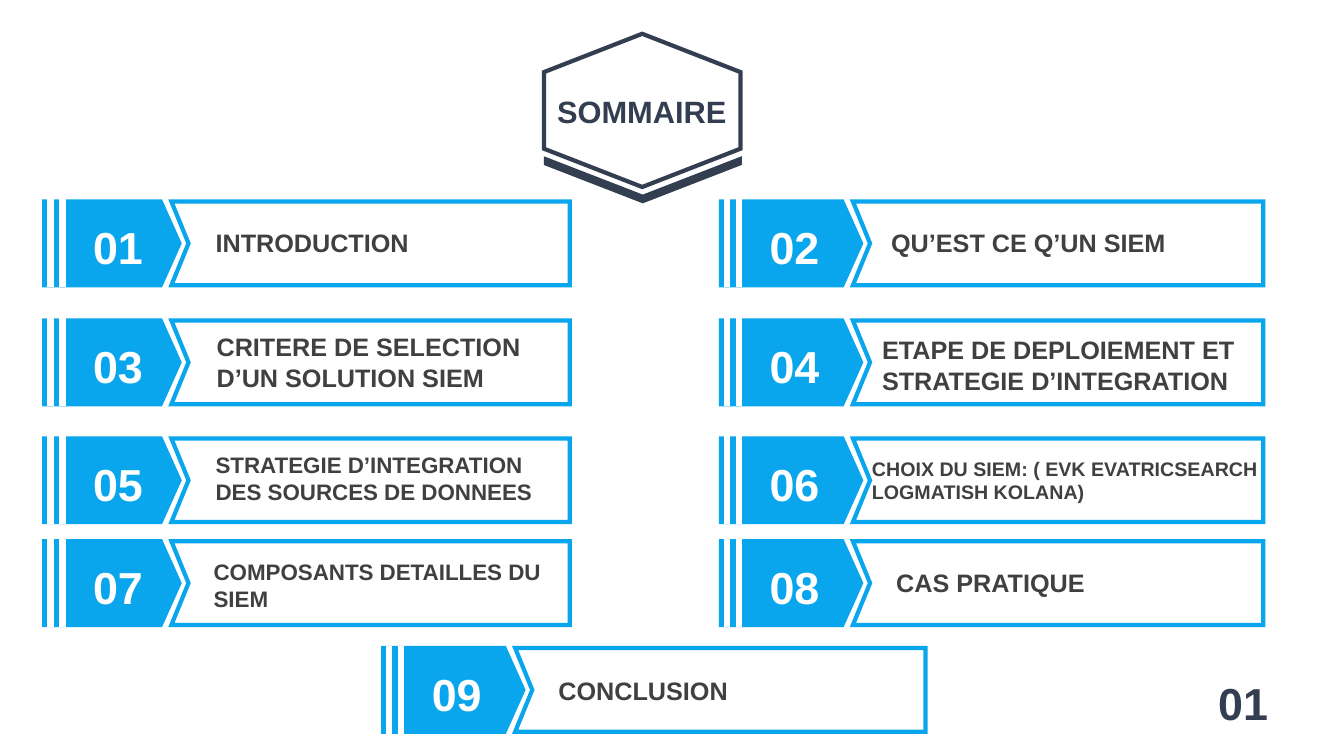
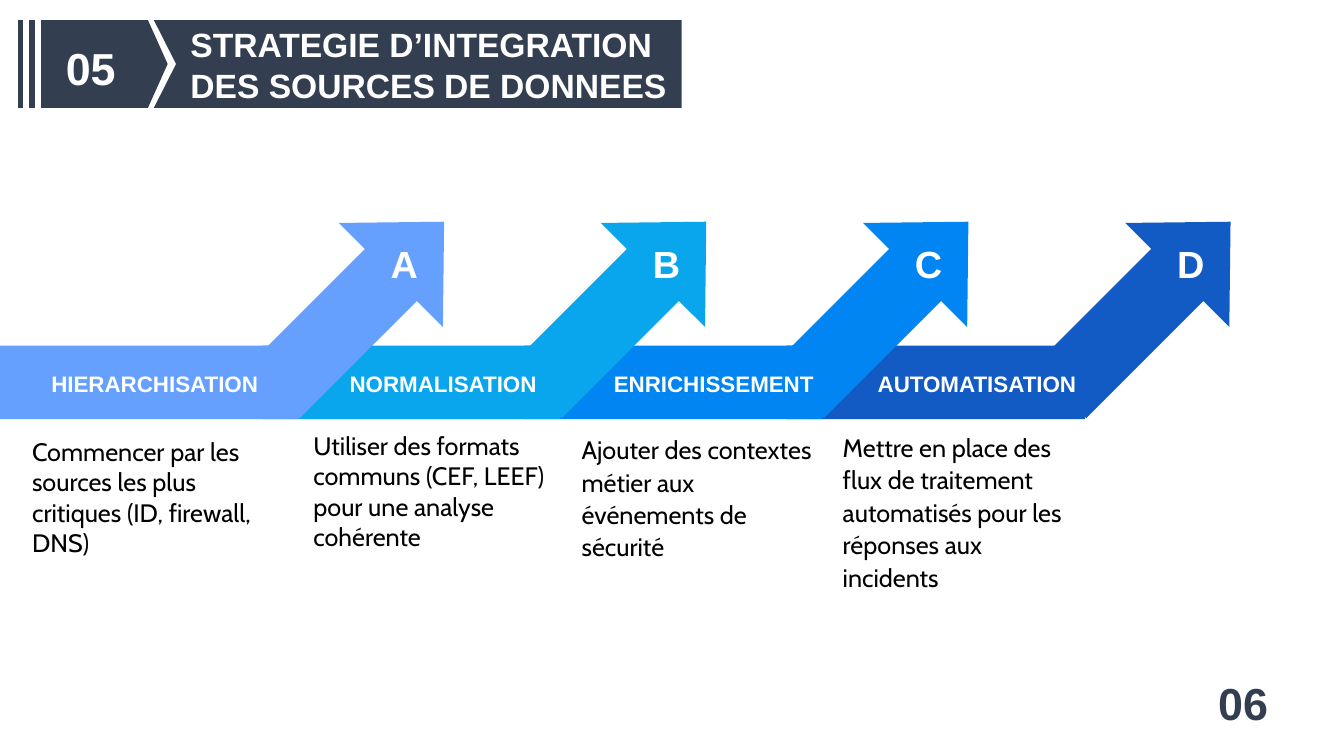
from dataclasses import dataclass

from lxml import etree
from pptx import Presentation
from pptx.dml.color import RGBColor
from pptx.enum.shapes import MSO_SHAPE
from pptx.enum.text import MSO_ANCHOR, MSO_AUTO_SIZE, PP_ALIGN
from pptx.oxml.ns import qn
from pptx.util import Inches, Pt

RECT, PLATE, HEXAGON = MSO_SHAPE.RECTANGLE, MSO_SHAPE.PENTAGON, MSO_SHAPE.HEXAGON
CHEVRON, UP_ARROW = MSO_SHAPE.CHEVRON, MSO_SHAPE.UP_ARROW
LEFT, CENTER = PP_ALIGN.LEFT, PP_ALIGN.CENTER
TOP, MIDDLE = MSO_ANCHOR.TOP, MSO_ANCHOR.MIDDLE
GROW = MSO_AUTO_SIZE.SHAPE_TO_FIT_TEXT


@dataclass(frozen=True)
class Theme:
    navy: str = "333F50"
    cyan: str = "0AA6ED"
    white: str = "FFFFFF"
    black: str = "000000"
    grey: str = "404040"
    steps: tuple = ("65A0FF", "0AA6ED", "0085F2", "125AC4")
    head_font: str = "Arial"
    body_font: str = "Cabin"
    number: int = 32
    letter: int = 27
    title: int = 24
    summary: int = 22
    body: int = 18
    label: int = 16
    line: int = 3


T = Theme()
BANNER_H = 0.83

COLUMNS = {
    "left": dict(x=0.44, plate=1.34, width=5.21),
    "right": dict(x=7.15, plate=1.39, width=5.38),
    "middle": dict(x=3.8, plate=1.39, width=5.38),
}
ROWS = [2, 3.18, 4.35, 5.37, 6.43]

AGENDA = [
    ("left", 0, "01", "INTRODUCTION", 18, (2.04, 2.21, 3.43, 0.4)),
    ("right", 0, "02", "QU’EST CE Q’UN SIEM", 18, (8.74, 2.21, 3.22, 0.4)),
    ("left", 1, "03", "CRITERE DE SELECTION D’UN SOLUTION SIEM", 18, (2.05, 3.24, 3.22, 0.71)),
    ("right", 1, "04", "ETAPE DE DEPLOIEMENT ET STRATEGIE D’INTEGRATION", 18, (8.65, 3.27, 3.79, 0.71)),
    ("left", 2, "05", "STRATEGIE D’INTEGRATION DES SOURCES DE DONNEES", 16, (2.04, 4.43, 3.46, 0.64)),
    ("right", 2, "06", "CHOIX DU SIEM: ( EVK EVATRICSEARCH LOGMATISH KOLANA)", 14, (8.55, 4.48, 4.1, 0.57)),
    ("left", 3, "07", "COMPOSANTS DETAILLES DU SIEM", 16, (2.02, 5.49, 3.46, 0.64)),
    ("right", 3, "08", "CAS PRATIQUE", 18, (8.79, 5.58, 3.38, 0.4)),
    ("middle", 4, "09", "CONCLUSION", 18, (5.44, 6.65, 3.38, 0.4)),
]

STEPS = [
    ("A", "HIERARCHISATION", (0.39, 2.29),
     "Commencer par les sources les plus critiques (ID, firewall, DNS)",
     (0.22, 4.28, 2.54, 1.31), {}),
    ("B", "NORMALISATION", (3.35, 2.09),
     "Utiliser des formats communs (CEF, LEEF) pour une analyse cohérente",
     (3.01, 4.22, 2.51, 1.31), {}),
    ("C", "ENRICHISSEMENT", (5.93, 2.3),
     "Ajouter des contextes métier aux événements de sécurité",
     (5.67, 4.24, 2.51, 1.38), dict(spacing=1.07, after=8)),
    ("D", "AUTOMATISATION", (8.54, 2.3),
     "Mettre en place des flux de traitement automatisés pour les réponses aux incidents",
     (8.26, 4.22, 2.51, 1.71), dict(spacing=1.07, after=8)),
]


def rgb(color):
    return RGBColor.from_string(color)


def style(sp, fill=None, line=None, width=T.line):
    sp.shadow.inherit = False
    if fill:
        sp.fill.solid()
        sp.fill.fore_color.rgb = rgb(fill)
    else:
        sp.fill.background()
    if line:
        sp.line.color.rgb = rgb(line)
        sp.line.width = Pt(width)
        ln = sp.element.spPr.find(qn("a:ln"))
        etree.SubElement(ln, qn("a:miter")).set("lim", "800000")
    else:
        sp.line.fill.background()


def shape(shapes, kind, box, fill=None, line=None, width=T.line, rot=0, adj=()):
    sp = shapes.add_shape(kind, *map(Inches, box))
    style(sp, fill, line, width)
    sp.rotation = rot
    for i, value in enumerate(adj):
        sp.adjustments[i] = value
    return sp


def text(s, box, words, size, color, align=LEFT, font=T.head_font, bold=True,
         anchor=TOP, inset=(0.1, 0.05), spacing=None, after=None):
    tf = s.shapes.add_textbox(*map(Inches, box)).text_frame
    tf.word_wrap = True
    tf.auto_size = GROW
    tf.vertical_anchor = anchor
    tf.margin_left = tf.margin_right = Inches(inset[0])
    tf.margin_top = tf.margin_bottom = Inches(inset[1])
    p = tf.paragraphs[0]
    p.alignment = align
    if spacing:
        p.line_spacing = spacing
    if after:
        p.space_after = Pt(after)
    r = p.add_run()
    r.text = words
    r.font.name, r.font.size, r.font.bold = font, Pt(size), bold
    r.font.color.rgb = rgb(color)


def number(s, x, y, digits, color):
    text(s, (x, y, 0.7, 0.54), digits, T.number, color, CENTER,
         anchor=MIDDLE, inset=(0.1, 0))


def banner(s, x, y, plate, width, digits, accent, panel, notch=0.17, digits_dx=0.38):
    shapes = s.shapes.add_group_shape().shapes
    left, right, bottom = x + plate - 0.08, x + width, y + BANNER_H
    outline = [(right, y), (right, bottom), (left, bottom),
               (left + notch, y + BANNER_H / 2)]
    fb = shapes.build_freeform(Inches(left), Inches(y))
    fb.add_line_segments([(Inches(a), Inches(b)) for a, b in outline], close=True)
    style(fb.convert_to_shape(), panel, accent)
    shape(shapes, PLATE, (x, y, plate, BANNER_H), accent, accent, adj=[0.224])
    for dx in (0.05, 0.17):
        shape(shapes, RECT, (x + dx, y, 0.02, BANNER_H), T.white, T.white)
    number(s, x + digits_dx, y + 0.18, digits, T.white)


def new_slide(prs, page):
    s = prs.slides.add_slide(prs.slide_layouts[6])
    number(s, 11.98, 6.7, page, T.navy)
    return s


def agenda_slide(prs):
    s = new_slide(prs, "01")
    shape(s.shapes, HEXAGON, (5.61, 0.12, 1.52, 1.95), line=T.navy, rot=270)
    shape(s.shapes, CHEVRON, (6.15, 0.81, 0.45, 1.95), T.navy, T.navy, 1, 90, [0.84])
    text(s, (5.39, 0.87, 1.95, 0.47), "SOMMAIRE", T.summary, T.navy, CENTER)
    for column, row, digits, words, size, box in AGENDA:
        banner(s, y=ROWS[row], digits=digits, accent=T.cyan, panel=T.white,
               **COLUMNS[column])
        text(s, box, words, size, T.grey)


def steps_slide(prs):
    s = new_slide(prs, "06")
    banner(s, 0.2, 0.22, 1.44, 6.54, "05", T.navy, T.navy, 0.21, 0.35)
    text(s, (1.79, 0.19, 5.07, 0.91), "STRATEGIE D’INTEGRATION DES SOURCES DE DONNEES",
         T.title, T.white)
    pitch = 2.6
    for i in reversed(range(len(STEPS))):
        shapes = s.shapes.add_group_shape().shapes
        shape(shapes, UP_ARROW, (2.83 + i * pitch, 1.85, 1.46, 2.39), T.steps[i],
              rot=45, adj=[0.5, 0.512])
        shape(shapes, RECT, (i * pitch, 3.43, 2.96, 0.73), T.steps[i])
    for i, (letter, label, (x, w), words, box, gaps) in enumerate(STEPS):
        text(s, (x, 3.62, w, 0.37), label, T.label, T.white, CENTER)
        text(s, (3.64 + i * pitch, 2.34, 0.74, 0.56), letter, T.letter, T.white,
             CENTER, inset=(0.12, 0.05))
        text(s, box, words, T.body, T.black, font=T.body_font, bold=False, **gaps)


def main():
    prs = Presentation()
    prs.slide_width, prs.slide_height = Inches(13.33), Inches(7.5)
    agenda_slide(prs)
    steps_slide(prs)
    prs.save("out.pptx")


if __name__ == "__main__":
    main()
